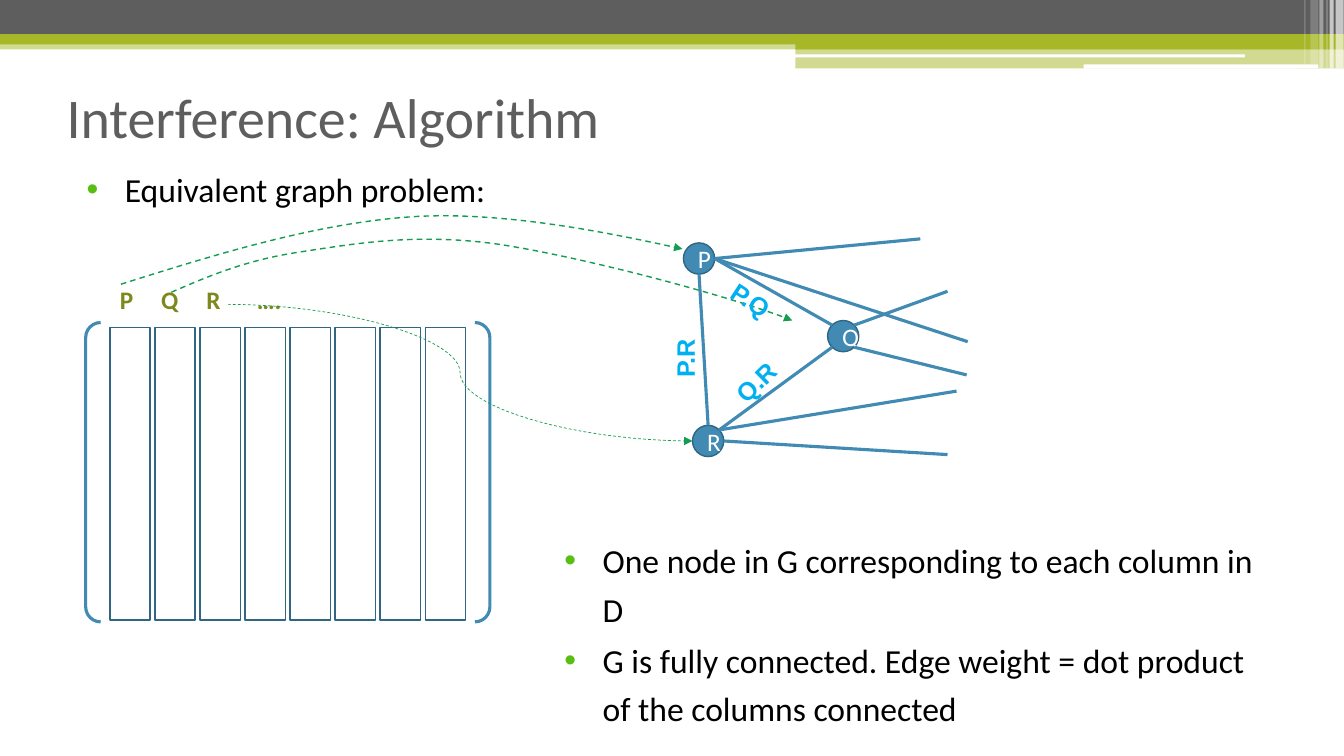
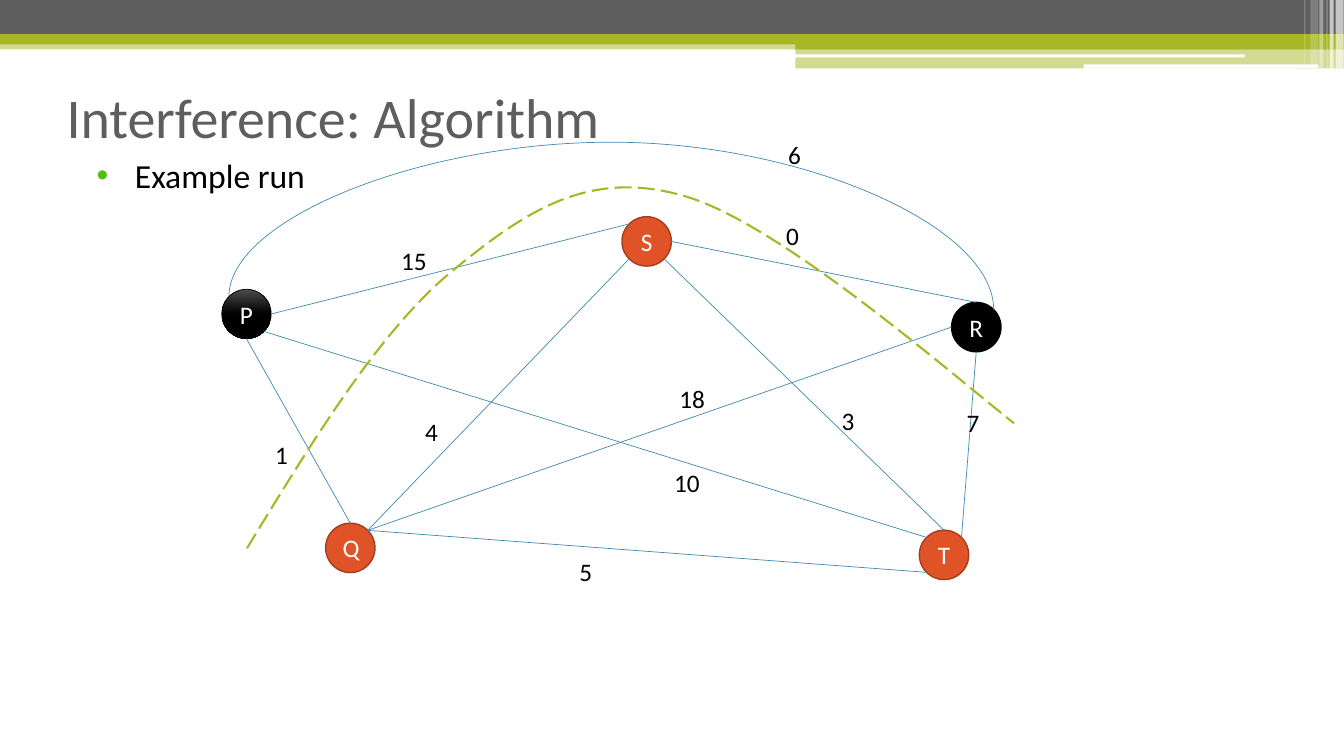
import math
from dataclasses import dataclass

import pptx
import pptx.dml.color
import pptx.enum.dml
import pptx.enum.shapes
import pptx.enum.text
import pptx.oxml
import pptx.oxml.ns
import pptx.util
from lxml import etree

SHAPE = pptx.enum.shapes.MSO_SHAPE
CONNECTOR = pptx.enum.shapes.MSO_CONNECTOR
DASH = pptx.enum.dml.MSO_LINE
qn = pptx.oxml.ns.qn


@dataclass(frozen=True)
class Theme:
    gray: str = "5E5E5E"
    lime: str = "A6B727"
    olive: str = "7D891D"
    blue: str = "418AB3"
    navy: str = "306684"
    green: str = "139D51"
    bullet: str = "58BE12"
    cyan: str = "00B0F0"
    orange: str = "DF5327"
    rust: str = "A53D1D"
    coal: str = "4B4B4B"
    black: str = "000000"
    white: str = "FFFFFF"
    font: str = "Calibri"
    edge_font: str = "Arial"
    title: int = 40
    body: int = 24
    label: int = 18
    hair: float = 0.5
    thin: float = 1
    medium: float = 1.5
    thick: float = 2.25


T = Theme()
COLS, ROWS = 133.33, 75
TOP, TOP_LEFT, LEFT, BOTTOM_LEFT = 0, 1, 2, 3
BOTTOM, BOTTOM_RIGHT, RIGHT, TOP_RIGHT = 4, 5, 6, 7


def cells(*counts):
    return [pptx.util.Inches(n / 10) for n in counts]


def rgb(color):
    return pptx.dml.color.RGBColor.from_string(color)


def child(parent, tag, **attrs):
    return etree.SubElement(parent, qn(tag), {k: str(v) for k, v in attrs.items()})


def write(tf, text, size=T.label, color=T.black, font=T.font, bold=False, new=False):
    p = tf.add_paragraph() if new else tf.paragraphs[0]
    r = p.add_run()
    r.text = text
    r.font.size = pptx.util.Pt(size)
    r.font.name = font
    r.font.bold = bold
    r.font.color.rgb = rgb(color)
    return p


def set_line(sp, color, width, dash=None, arrow=False):
    sp.line.color.rgb = rgb(color)
    sp.line.width = pptx.util.Pt(width)
    if dash:
        sp.line.dash_style = dash
    if arrow:
        child(sp.element.spPr.find(qn("a:ln")), "a:tailEnd", type="triangle")


def add_box(sl, kind, box, fill=None, alpha=100, line=None, width=T.thin):
    sp = sl.shapes.add_shape(kind, *cells(*box))
    sp.shadow.inherit = False
    if fill:
        sp.fill.solid()
        sp.fill.fore_color.rgb = rgb(fill)
        if alpha < 100:
            srgb = sp.element.spPr.find(".//" + qn("a:srgbClr"))
            child(srgb, "a:alpha", val=alpha * 1000)
    else:
        sp.fill.background()
    if line:
        set_line(sp, line, width)
    else:
        sp.line.fill.background()
    return sp


def add_label(sl, text, box, rotation=0, **fmt):
    sp = sl.shapes.add_textbox(*cells(*box))
    sp.text_frame.word_wrap = True
    sp.rotation = rotation
    return write(sp.text_frame, text, **fmt)


def add_bullets(sl, box, *items):
    tf = sl.shapes.add_textbox(*cells(*box)).text_frame
    tf.word_wrap = True
    indent = pptx.util.Inches(0.38)
    for i, item in enumerate(items):
        p = write(tf, item, size=T.body, new=i > 0)
        p.line_spacing = 1.2
        p.space_after = pptx.util.Pt(2)
        pPr = p._p.get_or_add_pPr()
        pPr.set("marL", str(indent))
        pPr.set("indent", str(-indent))
        child(child(pPr, "a:buClr"), "a:srgbClr", val=T.bullet)
        child(pPr, "a:buFont", typeface="Arial")
        child(pPr, "a:buChar", char="•")


def add_node(sl, name, box, fill, line, width=T.thin):
    sp = add_box(sl, SHAPE.OVAL, box, fill, line=line, width=width)
    p = write(sp.text_frame, name, color=T.white)
    p.alignment = pptx.enum.text.PP_ALIGN.CENTER
    return sp


def site(box, k):
    x, y, w, h = box
    angle = math.radians(45 * k)
    return x + w / 2 * (1 - math.sin(angle)), y + h / 2 * (1 - math.cos(angle))


def add_link(sl, start, end, kind=CONNECTOR.STRAIGHT, color=T.blue, width=T.thick, **fmt):
    cxn = sl.shapes.add_connector(kind, *cells(*start, *end))
    set_line(cxn, color, width, **fmt)
    child(cxn.element.spPr, "a:effectLst")
    return cxn


def add_arch(sl, start, end, top, **fmt):
    (x1, y1), (x2, y2) = start, end
    rise, span = y2 - y1, x2 - x1
    cx, cy = (x1 + x2) / 2, (y1 + y2) / 2
    cxn = add_link(sl, (cx + rise / 2, cy - span / 2), (cx - rise / 2, cy + span / 2),
                   CONNECTOR.CURVE, **fmt)
    spPr = cxn.element.spPr
    spPr.find(qn("a:xfrm")).set("rot", str(270 * 60000))
    geom = spPr.find(qn("a:prstGeom"))
    guides = geom.find(qn("a:avLst"))
    if guides is None:
        guides = child(geom, "a:avLst")
    child(guides, "a:gd", name="adj1", fmla=f"val {round((top - y1) / rise * 100000)}")


def add_curve(sl, start, *points, **fmt):
    builder = sl.shapes.build_freeform(*cells(*start), scale=1.0)
    builder.add_line_segments([cells(*pt) for pt in points], close=False)
    sp = builder.convert_to_shape()
    sp.shadow.inherit = False
    sp.fill.background()
    set_line(sp, **fmt)
    steps = list(sp.element.iter(qn("a:lnTo")))
    for i in range(0, len(steps), 3):
        bezier = etree.Element(qn("a:cubicBezTo"))
        steps[i].addprevious(bezier)
        for step in steps[i:i + 3]:
            bezier.append(step[0])
            step.getparent().remove(step)


def add_bands(sl, layout):
    bands = [
        (SHAPE.RECTANGLE, (0, 4, COLS, 0.9), T.lime, 50),
        (SHAPE.RECTANGLE, (0, 0, COLS, 3.4), T.gray, 100),
        (SHAPE.RECTANGLE, (0, 3.4, COLS, 1), T.lime, 100),
        (SHAPE.RECTANGLE, (78.9, 3.9, 54.43, 1), T.lime, 100),
        (SHAPE.RECTANGLE, (78.9, 4.8, 54.43, 2), T.lime, 50),
        (SHAPE.ROUNDED_RECTANGLE, (78.8, 5.4, 44.7, 0.3), T.white, 100),
        (SHAPE.ROUNDED_RECTANGLE, (107.5, 6.4, 23.3, 0.4), T.white, 100),
    ]
    stripes = [(132.5, 0.8, 6.8, 65), (131.9, 0.4, 6.8, 65), (131.6, 0.1, 6.8, 60),
               (130.9, 0.4, 6.8, 40), (130, 0.8, 6.4, 20), (129.4, 0.1, 6.4, 30)]
    bands += [(SHAPE.RECTANGLE, (x, 0, w, h), T.white, alpha) for x, w, h, alpha in stripes]
    for kind, box, fill, alpha in bands:
        layout.shapes.element.append(add_box(sl, kind, box, fill, alpha).element)


def add_titled_slide(prs, layout, text):
    sl = prs.slides.add_slide(layout)
    title = sl.shapes.title
    title.left, title.top, title.width, title.height = cells(5.6, 7.7, 126.5, 11.7)
    tf = title.text_frame
    tf.auto_size = pptx.enum.text.MSO_AUTO_SIZE.NONE
    tf.vertical_anchor = pptx.enum.text.MSO_ANCHOR.TOP
    p = write(tf, text, size=T.title, color=T.gray)
    p.alignment = pptx.enum.text.PP_ALIGN.LEFT
    return sl


def add_matrix(sl):
    bracket = add_box(sl, SHAPE.DOUBLE_BRACKET, (8.5, 32, 40.1, 29.7),
                      line=T.blue, width=T.thick)
    bracket.adjustments[0] = 0.05
    for i in range(8):
        add_box(sl, SHAPE.RECTANGLE, (10.9 + 4.47 * i, 32.5, 4, 29), line=T.navy)
    p = add_label(sl, "P\tQ\tR\t….", (10.9, 27.7, 35.3, 4), color=T.olive, bold=True)
    tabs = child(p._p.get_or_add_pPr(), "a:tabLst")
    for stop in cells(4.1, 8.6, 13.6):
        child(tabs, "a:tab", pos=stop, algn="l")


def build_graph_slide(sl):
    add_bullets(sl, (7.6, 15.5, 120.5, 11), "Equivalent graph problem:")
    add_matrix(sl)
    nodes = {"P": (67.8, 24.1, 3.1, 3.1), "Q": (82.1, 31.8, 3.1, 3.1),
             "R": (68.7, 42.2, 3.1, 3.1)}
    for name, box in nodes.items():
        add_node(sl, name, box, T.blue, T.navy)

    arrow = dict(color=T.green, dash=DASH.DASH, arrow=True)
    add_curve(sl, (12, 28.2), (21.8, 25.1), (31.7, 22.1), (41, 21.5),
              (50.3, 20.9), (62.7, 23.6), (67.7, 24.7), width=T.thin, **arrow)
    add_curve(sl, (17, 29), (20.7, 27.4), (24.4, 25.8), (29.8, 25),
              (35.1, 24.2), (41.1, 23.1), (49.2, 24.2),
              (57.4, 25.4), (72.9, 29.5), (78.6, 31.8), width=T.thin, **arrow)
    add_link(sl, (22.6, 30.2), site(nodes["R"], LEFT), CONNECTOR.CURVE,
             width=T.hair, **arrow)

    for a, i, b, j in [("P", BOTTOM, "R", TOP), ("P", RIGHT, "Q", TOP_LEFT),
                       ("R", TOP_RIGHT, "Q", BOTTOM_LEFT)]:
        add_link(sl, site(nodes[a], i), site(nodes[b], j))
    for name, k, end in [("R", RIGHT, (94, 45.1)), ("R", TOP_RIGHT, (94.9, 38.8)),
                         ("Q", TOP_RIGHT, (94, 28.9)), ("Q", BOTTOM_RIGHT, (95.9, 37.2)),
                         ("P", RIGHT, (91.3, 23.7)), ("P", RIGHT, (96, 33.9))]:
        add_link(sl, site(nodes[name], k), end)
    for text, x, y, rotation in [("P.R", 64.2, 32.7, 270), ("P.Q", 71.4, 28.2, 33),
                                 ("Q.R", 71.6, 35.5, 315.6)]:
        add_label(sl, text, (x, y, 7.5, 4), rotation,
                  font=T.edge_font, color=T.cyan, bold=True)
    add_bullets(sl, (55, 52.3, 72.6, 15.8),
                "One node in G corresponding to each column in D",
                "G is fully connected. Edge weight = dot product of the columns connected")


def build_example_slide(sl):
    add_bullets(sl, (8.6, 14.1, 120.5, 11), "Example run")
    d = 4.9
    nodes = {"P": (22, 28.7, d, d), "T": (91.2, 52.6, d, d), "Q": (32.3, 51.9, d, d),
             "S": (61.7, 21.5, d, d), "R": (94.4, 30, d, d)}
    for name in "TQS":
        add_node(sl, name, nodes[name], T.orange, T.rust)
    add_node(sl, "R", nodes["R"], T.black, T.black)
    sp = add_node(sl, "P", nodes["P"], T.black, T.black, T.hair)
    sp.fill.gradient()
    sp.fill.gradient_angle = 270
    for stop, color, position in zip(sp.fill.gradient_stops, (T.coal, T.black), (0, 0.5)):
        stop.color.rgb = rgb(color)
        stop.position = position

    for a, i, b, j in [("P", BOTTOM, "Q", TOP), ("P", BOTTOM_RIGHT, "T", TOP_LEFT),
                       ("Q", TOP_RIGHT, "T", BOTTOM_LEFT), ("Q", TOP_RIGHT, "R", LEFT),
                       ("S", BOTTOM_RIGHT, "T", TOP), ("R", BOTTOM, "T", TOP_RIGHT),
                       ("P", RIGHT, "S", TOP_LEFT), ("S", RIGHT, "R", TOP),
                       ("Q", TOP_RIGHT, "S", BOTTOM_LEFT)]:
        add_link(sl, site(nodes[a], i), site(nodes[b], j), width=T.hair)
    add_arch(sl, site(nodes["P"], TOP_LEFT), site(nodes["R"], TOP_RIGHT), 14.1, width=T.hair)

    for weight, x, y in [("15", 38.8, 23.8), ("6", 77.2, 13.3), ("1", 26.3, 43.1),
                         ("5", 56.5, 54.7), ("7", 94.9, 39.9), ("0", 77, 21.4),
                         ("10", 65.9, 45.9), ("18", 66.4, 37.5), ("3", 82.5, 39.7),
                         ("4", 41.2, 40.8)]:
        add_label(sl, weight, (x, y, 7.9, 4))
    add_curve(sl, (24.5, 54.4), (31.2, 43.4), (37.9, 32.5), (45.1, 26.7),
              (52.3, 20.8), (58.5, 16.8), (67.7, 19.4),
              (77, 21.9), (94.4, 37.1), (100.6, 42),
              color=T.lime, width=T.medium, dash=DASH.LONG_DASH)


def main():
    prs = pptx.Presentation()
    prs.slide_width, prs.slide_height = cells(COLS, ROWS)
    layout = prs.slide_layouts.get_by_name("Title Only")
    graph, example = [add_titled_slide(prs, layout, "Interference: Algorithm")
                      for _ in range(2)]
    add_bands(graph, layout)
    build_graph_slide(graph)
    build_example_slide(example)
    prs.save("out.pptx")


if __name__ == "__main__":
    main()
